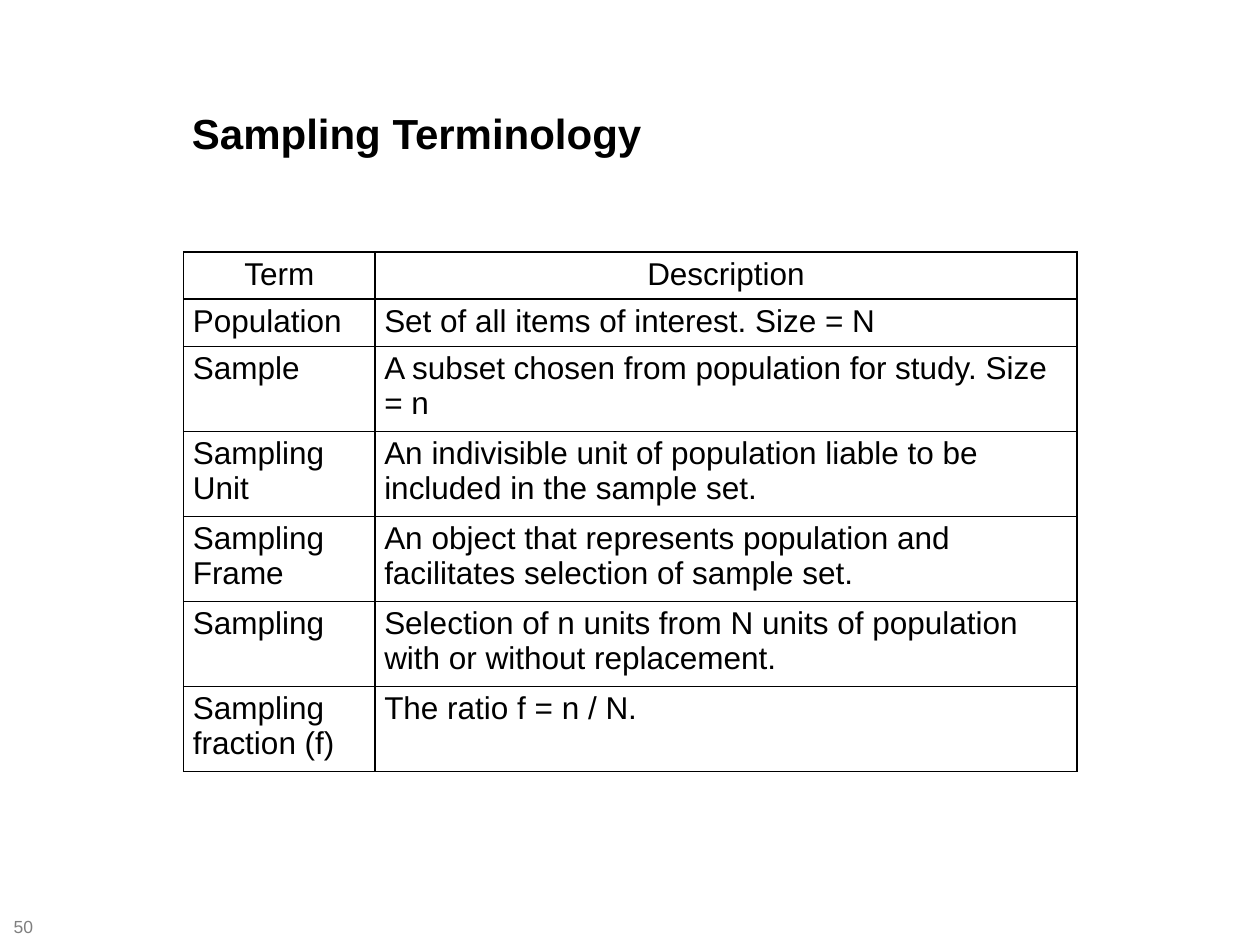
from lxml.etree import fromstring
from pptx import Presentation
from pptx.dml.color import RGBColor
from pptx.enum.text import MSO_ANCHOR, PP_ALIGN
from pptx.oxml import parse_xml
from pptx.oxml.ns import nsdecls
from pptx.util import Pt

COLORS = {"ink": "000000", "gray": "7F7F7F", "paper": "FFFFFF"}

TERMS = [
    ("Term", "Description"),
    ("Population", "Set of all items of interest. Size = N"),
    ("Sample", "A subset chosen from population for study. Size = n"),
    ("Sampling Unit", "An indivisible unit of population liable to be "
     "included in the sample set."),
    ("Sampling Frame", "An object that represents population and "
     "facilitates selection of sample set."),
    ("Sampling", "Selection of n units from N units of population "
     "with or without replacement."),
    ("Sampling fraction (f)", "The ratio f = n / N."),
]


class Page:
    font = "Arial"
    pad = (5.2, 2.6)

    def __init__(self, slide):
        self.slide = slide

    def inset(self, box, side, top):
        box.margin_left = box.margin_right = Pt(side)
        box.margin_top = box.margin_bottom = Pt(top)

    def fill_text(self, frame, text, size, color="ink", bold=False,
                  align=PP_ALIGN.LEFT):
        frame.text = text
        para = frame.paragraphs[0]
        para.alignment = align
        for run in para.runs:
            font = run.font
            font.name, font.size, font.bold = self.font, Pt(size), bold
            font.color.rgb = RGBColor.from_string(COLORS[color])
        return para

    def title(self, text, left, top, width, height):
        shape = self.slide.shapes.title
        shape.left, shape.top = Pt(left), Pt(top)
        shape.width, shape.height = Pt(width), Pt(height)
        frame = shape.text_frame
        frame.vertical_anchor = MSO_ANCHOR.MIDDLE
        frame.word_wrap = True
        self.inset(frame, *self.pad)
        self.fill_text(frame, text, 24, bold=True).line_spacing = 0.9

    def label(self, text, left, top, width, height):
        box = self.slide.shapes.add_textbox(
            Pt(left), Pt(top), Pt(width), Pt(height))
        frame = box.text_frame
        frame.vertical_anchor = MSO_ANCHOR.MIDDLE
        frame.word_wrap = True
        self.inset(frame, 7.2, 3.6)
        self.fill_text(frame, text, 10, "gray")

    def border(self, cell):
        props = cell._tc.get_or_add_tcPr()
        for spot, side in enumerate("LRTB"):
            props.insert(spot, fromstring(
                f'<a:ln{side} {nsdecls("a")} w="{Pt(1)}"><a:solidFill>'
                f'<a:srgbClr val="{COLORS["ink"]}"/></a:solidFill></a:ln{side}>'))

    def table(self, data, left, top, widths, heights):
        grid = self.slide.shapes.add_table(
            len(data), len(widths), Pt(left), Pt(top),
            Pt(sum(widths)), Pt(sum(heights))).table
        for col, width in zip(grid.columns, widths):
            col.width = Pt(width)
        for row, height in zip(grid.rows, heights):
            row.height = Pt(height)
        for r, texts in enumerate(data):
            for c, text in enumerate(texts):
                cell = grid.cell(r, c)
                self.inset(cell, *self.pad)
                cell.fill.solid()
                cell.fill.fore_color.rgb = RGBColor.from_string(COLORS["paper"])
                self.border(cell)
                align = PP_ALIGN.LEFT if r else PP_ALIGN.CENTER
                self.fill_text(cell.text_frame, text, 18, align=align)


def main():
    deck = Presentation()
    deck.slide_width, deck.slide_height = Pt(720), Pt(540)
    page = Page(deck.slides.add_slide(deck.slide_layouts[5]))

    # Page number
    page.label("50", 0.7, 523.6, 28, 11.5)

    # Heading
    page.title("Sampling Terminology", 104.5, 57.5, 540, 40)

    # Terms: two short rows, then five tall ones
    page.table(TERMS, 105, 144, (109.4, 401), [27] * 2 + [48.6] * 5)

    deck.save("out.pptx")


if __name__ == "__main__":
    main()
